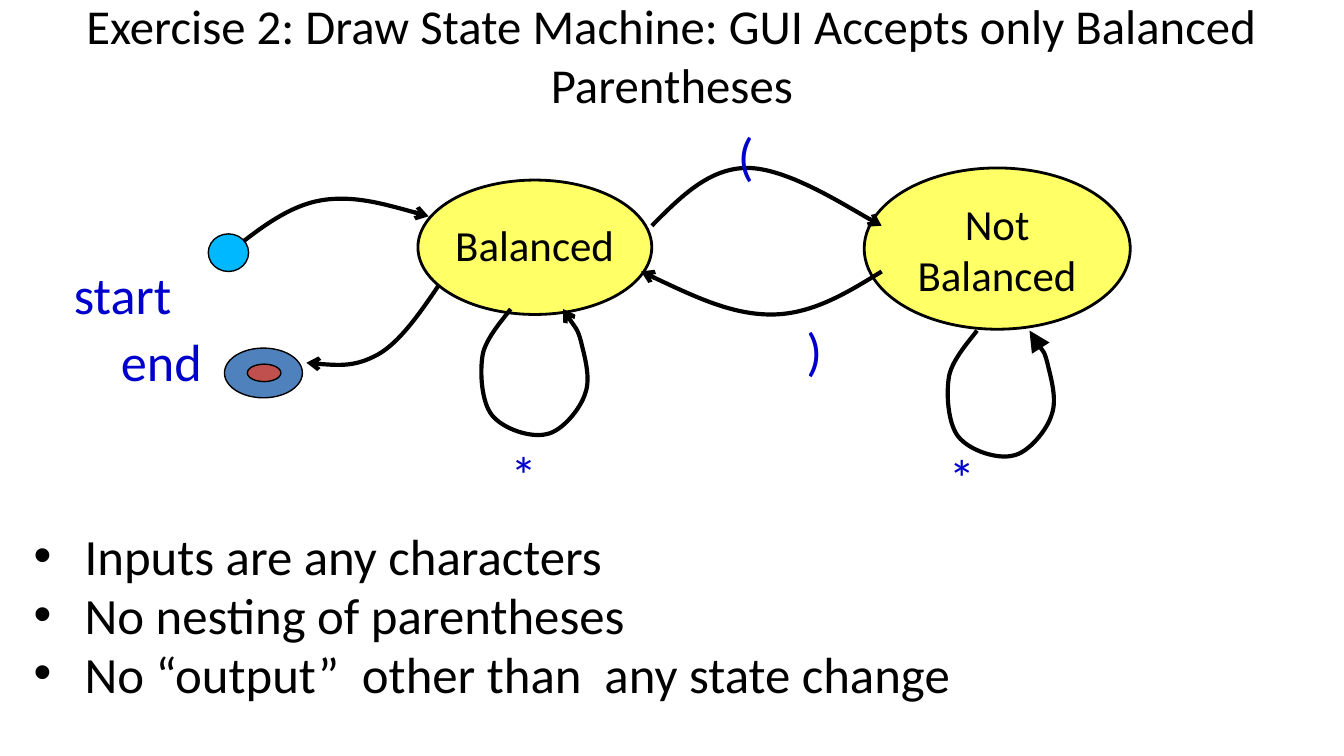
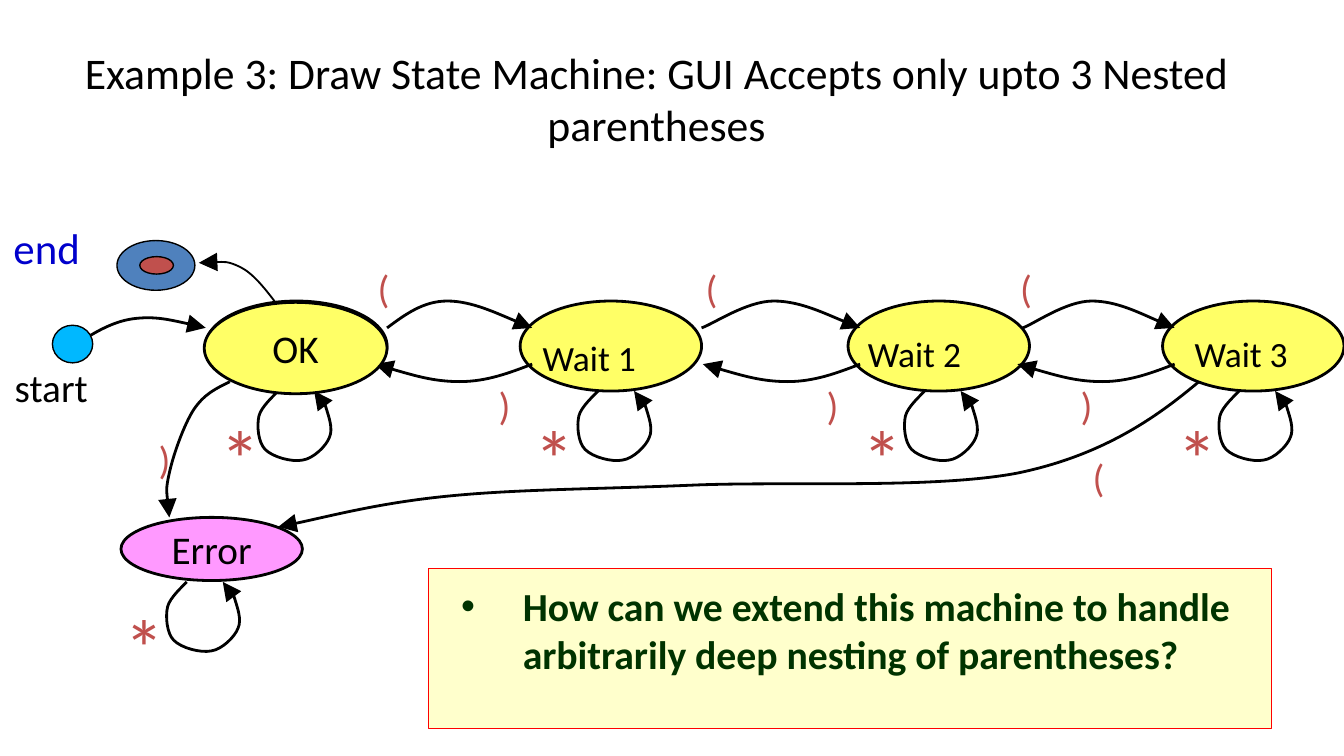
import dataclasses
import typing

import pptx
import pptx.dml.color
import pptx.enum.shapes
import pptx.enum.text
import pptx.oxml
import pptx.oxml.ns
import pptx.util

Inches = pptx.util.Inches
Pt = pptx.util.Pt
Align = pptx.enum.text.PP_ALIGN
Anchor = pptx.enum.text.MSO_ANCHOR
Preset = pptx.enum.shapes.MSO_SHAPE
qn = pptx.oxml.ns.qn
Points = typing.Sequence[tuple[float, float]]

FONT = "Calibri"
COLORS = {
    "black": "000000", "state": "FFFF66", "error": "FF99FF", "start": "00B8FF",
    "end": "4F81BD", "red": "C0504D", "blue": "0000CC", "note": "FFFFCC",
    "note_line": "FF0000", "note_text": "003300",
}

# Bezier points as fractions of a curve's signed width and height.
FORWARD: Points = [(0, 0), (.125, -.5), (.25, -1), (.415, -1), (.585, -1), (.92, -.16), (1, 0)]
LATE_FORWARD: Points = [(0, 0), (.075, -.15), (.285, -1), (.455, -1), (.62, -1), (.92, -.17),
                        (1, 0)]
RETURN: Points = [(0, 0), (.145, .5), (.29, 1), (.46, 1), (.625, 1), (.81, .5), (1, 0)]
ENTER: Points = [(0, 0), (.145, -.41), (.29, -.8), (.45, -.9), (.615, -1), (.81, -.8), (1, -.61)]
LEAVE: Points = [(0, 0), (.145, .35), (.295, .7), (.46, .85), (.63, 1), (.815, .98), (1, .95)]
LOOP: Points = [
    (0, 0), (-.05, .06), (-.22, .22), (-.25, .35), (-.28, .49), (-.26, .72), (-.17, .82),
    (-.07, .93), (.18, 1), (.32, .97), (.46, .95), (.63, .77), (.67, .65), (.72, .53),
    (.66, .36), (.63, .25), (.6, .15), (.49, .04), (.47, 0),
]
# Offsets in inches for the two ways into the error state.
OK_TO_ERROR: Points = [(0, 0), (-.1, .05), (-.19, .09), (-.27, .21), (-.34, .32), (-.42, .54),
                       (-.45, .68), (-.48, .81), (-.46, .91), (-.45, 1.01)]
WAIT_TO_ERROR: Points = [
    (0, 0), (-.32, .27), (-.72, .55), (-1.35, .68), (-1.98, .8), (-3.07, .74), (-3.77, .77),
    (-4.48, .8), (-5.06, .8), (-5.57, .85), (-6.09, .9), (-6.58, 1.03), (-6.85, 1.08),
]


@dataclasses.dataclass(frozen=True)
class State:
    left: float
    top: float
    width: float
    height: float
    lines: tuple[str, ...] = ()
    size: float = 23
    fill: str | None = "state"
    line_width: float = 1.5


@dataclasses.dataclass(frozen=True)
class Transition:
    points: Points
    x: float
    y: float
    width: float = 1
    height: float = 1
    head: str = "triangle"
    line_width: float = 1.5


@dataclasses.dataclass(frozen=True)
class Label:
    text: str
    left: float
    top: float
    width: float
    height: float
    size: float
    color: str = "red"
    inset: tuple[float, float] = (.11, .06)
    wrap: bool = True


def rgb(name: str) -> pptx.dml.color.RGBColor:
    return pptx.dml.color.RGBColor.from_string(COLORS[name])


def fill_text(frame, lines: typing.Sequence[str], size: float, color: str = "black",
              bold: bool = False, align=Align.LEFT, anchor=Anchor.TOP,
              inset: tuple[float, float] = (.09, .04), wrap: bool = True,
              indent: tuple[float, float] | None = None, spacing: float | None = None) -> None:
    """Write one paragraph per line; indent (margin, first line) turns on bullets."""
    frame.word_wrap = wrap
    frame.vertical_anchor = anchor
    frame.margin_left = frame.margin_right = Inches(inset[0])
    frame.margin_top = frame.margin_bottom = Inches(inset[1])
    for index, line in enumerate(lines):
        paragraph = frame.add_paragraph() if index else frame.paragraphs[0]
        paragraph.text = line
        paragraph.alignment = align
        if indent:
            properties = paragraph._p.get_or_add_pPr()
            properties.set("marL", str(Inches(indent[0])))
            properties.set("indent", str(Inches(indent[1])))
            for tag, attributes in (("a:buFont", {"typeface": "Arial"}),
                                    ("a:buChar", {"char": "•"})):
                properties.append(properties.makeelement(qn(tag), attributes))
        if spacing:
            paragraph.line_spacing = spacing
            paragraph.space_after = Pt(.2 * size)
        font = paragraph.font
        font.name, font.size, font.bold = FONT, Pt(size), bold
        font.color.rgb = rgb(color)


def add_text(slide, left: float, top: float, width: float, height: float,
             lines: typing.Sequence[str], size: float, **style) -> None:
    box = slide.shapes.add_textbox(Inches(left), Inches(top), Inches(width), Inches(height))
    fill_text(box.text_frame, lines, size, **style)


def add_title(slide, left: float, top: float, width: float, height: float,
              text: str, size: float) -> None:
    add_text(slide, left, top, width, height, [text], size,
             align=Align.CENTER, anchor=Anchor.BOTTOM)


def add_label(slide, label: Label) -> None:
    add_text(slide, label.left, label.top, label.width, label.height, [label.text], label.size,
             color=label.color, inset=label.inset, wrap=label.wrap)


def add_state(slide, state: State) -> None:
    shape = slide.shapes.add_shape(Preset.OVAL, Inches(state.left), Inches(state.top),
                                   Inches(state.width), Inches(state.height))
    shape.shadow.inherit = False
    if state.fill:
        shape.fill.solid()
        shape.fill.fore_color.rgb = rgb(state.fill)
    else:
        shape.fill.background()
    if state.line_width:
        shape.line.color.rgb = rgb("black")
        shape.line.width = Pt(state.line_width)
    else:
        shape.line.fill.background()
    if state.lines:
        fill_text(shape.text_frame, state.lines, state.size, align=Align.CENTER,
                  anchor=Anchor.MIDDLE, wrap=False)


def add_start_marker(slide, left: float, top: float) -> None:
    add_state(slide, State(left, top, .3, .28, fill="start", line_width=.75))


def add_end_marker(slide, left: float, top: float) -> None:
    add_state(slide, State(left, top, .58, .37, fill="end", line_width=.75))
    add_state(slide, State(left + .17, top + .12, .25, .13, fill="red", line_width=.75))


def add_transition(slide, transition: Transition) -> None:
    """Draw a curved arrow: a polyline through the control points, turned into Beziers."""
    points = [(Inches(transition.x + x * transition.width),
               Inches(transition.y + y * transition.height)) for x, y in transition.points]
    builder = slide.shapes.build_freeform(*points[0])
    builder.add_line_segments(points[1:], close=False)
    shape = builder.convert_to_shape()
    segments = list(shape._element.iter(qn("a:lnTo")))
    for index in range(0, len(segments), 3):
        curve = segments[index].makeelement(qn("a:cubicBezTo"), {})
        segments[index].addprevious(curve)
        for segment in segments[index:index + 3]:
            curve.append(segment[0])
            segment.getparent().remove(segment)
    shape.shadow.inherit = False
    shape.fill.background()
    shape.line.color.rgb = rgb("black")
    shape.line.width = Pt(transition.line_width)
    line = shape.line._get_or_add_ln()
    head_size = "lg" if transition.head == "triangle" else "med"
    line.append(line.makeelement(
        qn("a:tailEnd"), {"type": transition.head, "w": head_size, "len": head_size}))


def build_balanced_slide(slide) -> None:
    add_state(slide, State(3.11, 1.34, 1.74, 1))
    add_title(slide, 0, .54, 10, .34,
              "Exercise 2: Draw State Machine: GUI Accepts only Balanced Parentheses", 26.1)
    add_text(slide, .16, 3.95, 9.6, 1.47,
             ["Inputs are any characters", "No nesting of parentheses",
              "No “output”  other than  any state change"],
             27.2, indent=(.38, -.38), spacing=.8)
    add_state(slide, State(3.11, 1.34, 1.74, .96, ("Balanced",), fill=None, line_width=0))
    add_state(slide, State(6.43, 1.25, 1.98, 1.2, ("Not", "Balanced")))
    for points, x, y, width, height, head in (
        (ENTER, 1.73, 1.86, 1.46, .41, "arrow"),
        (FORWARD, 4.85, 1.68, 1.71, .43, "arrow"),
        (RETURN, 6.56, 2.02, -1.79, .32, "arrow"),
        (LOOP, 3.8, 2.3, .83, .96, "arrow"),
        (LOOP, 7.27, 2.46, .83, .96, "triangle"),
        (LEAVE, 3.26, 2.13, -.98, .6, "arrow"),
    ):
        add_transition(slide, Transition(points, x, y, width, height, head, 2.25))
    add_start_marker(slide, 1.55, 1.74)
    add_end_marker(slide, 1.67, 2.59)
    for text, left, top, width in (
        ("(", 5.4, .88, .66), (")", 5.91, 2.33, .66), ("*", 3.71, 3.25, .63),
        ("*", 6.97, 3.27, .63), ("start", .46, 1.91, 1.32), ("end", .81, 2.41, 1.32),
    ):
        add_label(slide, Label(text, left, top, width, .56, 28, "blue", (.09, .04)))


def build_nested_slide(slide) -> None:
    note = slide.shapes.add_shape(Preset.RECTANGLE, Inches(3.19), Inches(4.23),
                                  Inches(6.27), Inches(1.19))
    note.shadow.inherit = False
    note.fill.solid()
    note.fill.fore_color.rgb = rgb("note")
    note.line.color.rgb = rgb("note_line")
    note.line.width = Pt(.75)
    add_title(slide, .25, .23, 9.27, .93,
              "Example 3: Draw State Machine: GUI Accepts only upto 3 Nested parentheses", 23.4)
    add_text(slide, 3.25, 4.29, 6.21, .81,
             ["How can we extend this machine to handle arbitrarily deep nesting of parentheses?"],
             21.3, color="note_text", bold=True, indent=(.55, -.46))

    state_lefts = (1.53, 3.87, 6.31, 8.65)
    for left in state_lefts:
        add_state(slide, State(left, 2.24, 1.35, .67, fill="state" if left > 2 else None))
    loop_starts = [(x, 2.91) for x in (2.07, 4.45, 6.88, 9.22)] + [(1.39, 4.33)]
    for x, y in loop_starts:
        add_transition(slide, Transition(LOOP, x, y, .57, .53))
    for left, arc, arc_start in zip(state_lefts[1:], (FORWARD, LATE_FORWARD, LATE_FORWARD),
                                    (2.88, 5.22, 7.61)):
        arc_end = left + .09
        add_transition(slide, Transition(arc, arc_start, 2.44, arc_end - arc_start, .2))
        add_transition(slide, Transition(RETURN, arc_end, 2.71, -1.17, .13))
    add_transition(slide, Transition(ENTER, .54, 2.58, .99, .23))
    add_transition(slide, Transition(OK_TO_ERROR, 1.71, 2.84))
    add_transition(slide, Transition(WAIT_TO_ERROR, 8.92, 2.84))
    add_state(slide, State(1.52, 2.25, 1.36, .68, ("OK",), 21))
    add_state(slide, State(.9, 3.85, 1.35, .47, ("Error",), 21, "error"))

    opening = [(left - 1.17, 1.91) for left in state_lefts[1:]] + [(8.02, 3.31)]
    closing = [(x, 2.78) for x in (3.6, 6.04, 7.93)] + [(1.07, 3.18)]
    for text, places in (("(", opening), (")", closing)):
        for left, top in places:
            add_label(slide, Label(text, left, top, .45, .46, 21))
    for left in state_lefts:
        add_label(slide, Label("*", left, 2.98, .54, .84, 43))
    add_label(slide, Label("*", .84, 4.4, .54, .81, 43, inset=(.09, .04)))
    for number, (left, top) in enumerate(((3.94, 2.45), (6.36, 2.42), (8.79, 2.42)), start=1):
        add_label(slide, Label(f"Wait {number}", left, top, .9, .42, 19, "black", (.1, .05),
                               wrap=False))
    add_label(slide, Label("start", 0, 2.64, 1.14, .46, 21, "black"))
    add_start_marker(slide, .39, 2.42)
    add_end_marker(slide, .87, 1.79)
    add_transition(slide, Transition(LEAVE, 2.05, 2.25, -.57, -.31, line_width=1))
    add_label(slide, Label("end", .01, 1.61, 1.32, .48, 23, "blue", (.09, .04)))


def main() -> None:
    presentation = pptx.Presentation()
    presentation.slide_width = Inches(10)
    presentation.slide_height = Inches(10) * 9 // 16
    blank = presentation.slide_layouts[6]
    for build in (build_balanced_slide, build_nested_slide):
        build(presentation.slides.add_slide(blank))
    presentation.save("out.pptx")


if __name__ == "__main__":
    main()
